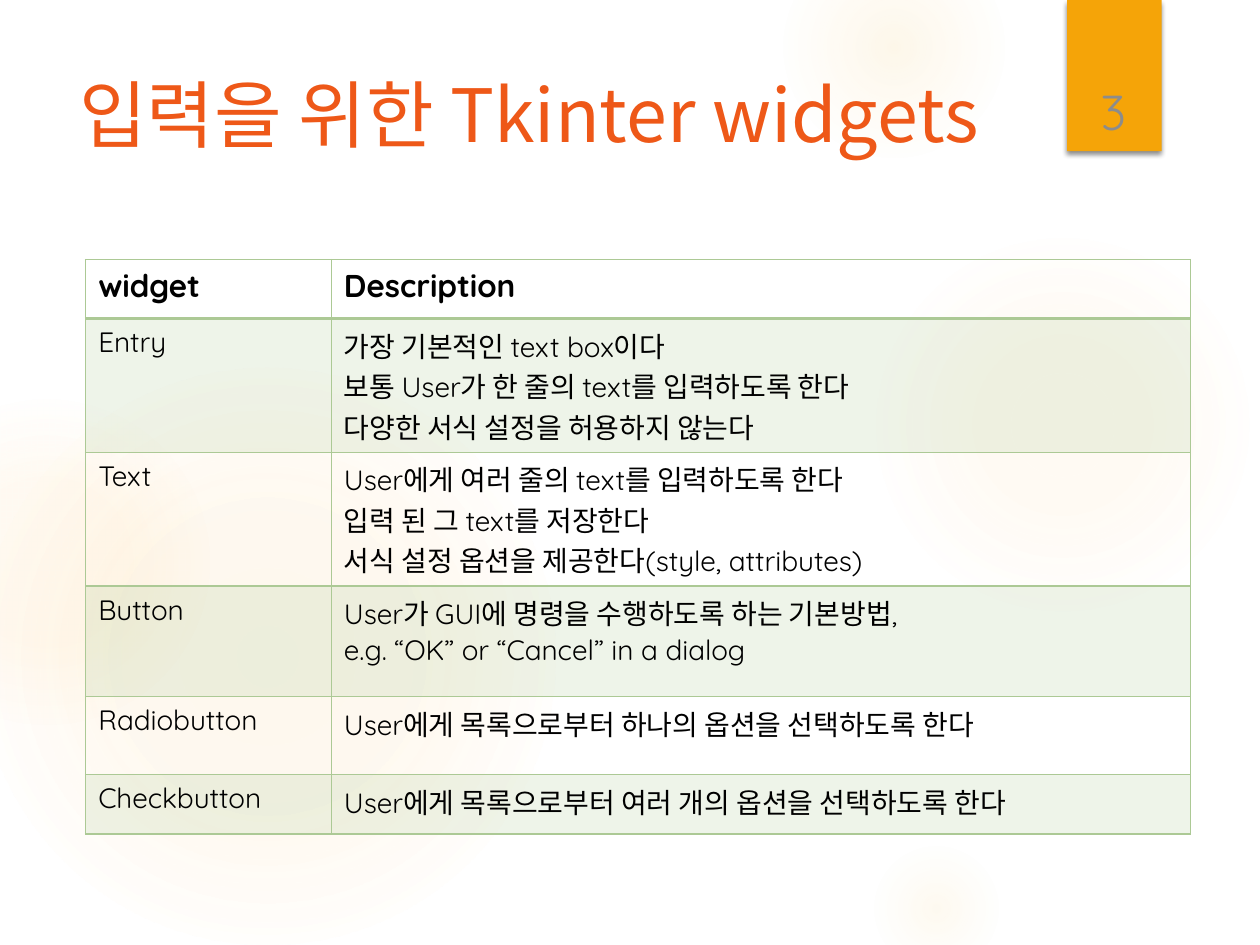
from lxml.etree import SubElement
from pptx import Presentation
from pptx.dml.color import RGBColor
from pptx.enum.shapes import MSO_SHAPE
from pptx.enum.text import MSO_ANCHOR, PP_ALIGN
from pptx.oxml.ns import qn
from pptx.util import Inches, Pt

KOREAN = "Noto Sans CJK KR"
LATIN = "Quicksand"
GOLD = "FAC96A"
GREEN = "ACC995"

GLOWS = [
    ((6.89, 1.83, 3.08), ((0, 7), (36, 6), (69, 0))),
    ((6.22, -0.5, 1.75), ((0, 14), (36, 7), (73, 0))),
    ((6.89, 6.67, 1.08), ((0, 10), (31, 5), (66, 0))),
    ((-0.17, 2.92, 4.58), ((0, 11), (36, 10), (75, 0))),
    ((-0.92, 3.17, 2.58), ((0, 8), (36, 8), (72, 0))),
]

ROWS = [
    (0.47, "widget", ["Description"]),
    (1.06, "Entry", [
        "가장 기본적인 text box이다",
        "보통 User가 한 줄의 text를 입력하도록 한다",
        "다양한 서식 설정을 허용하지 않는다",
    ]),
    (1.06, "Text", [
        "User에게 여러 줄의 text를 입력하도록 한다",
        "입력 된 그 text를 저장한다",
        "서식 설정 옵션을 제공한다(style, attributes)",
    ]),
    (0.88, "Button", [
        "User가 GUI에 명령을 수행하도록 하는 기본방법,",
        "e.g. “OK” or “Cancel” in a dialog",
    ]),
    (0.62, "Radiobutton", ["User에게 목록으로부터 하나의 옵션을 선택하도록 한다"]),
    (0.47, "Checkbutton", ["User에게 목록으로부터 여러 개의 옵션을 선택하도록 한다"]),
]


def color(code):
    return RGBColor.from_string(code)


def add(node, tag, **attrs):
    return SubElement(node, qn(tag), {key: str(val) for key, val in attrs.items()})


def tint(node, code, alpha):
    add(add(node, "a:srgbClr", val=code), "a:alpha", val=alpha * 1000)


def write(para, text, size, code, face=LATIN, bold=False):
    run = para.add_run()
    run.text = text
    font = run.font
    font.size, font.bold, font.name = Pt(size), bold, face
    font.color.rgb = color(code)


def add_box(slide, box, anchor):
    frame = slide.shapes.add_textbox(*map(Inches, box)).text_frame
    frame.word_wrap = True
    frame.vertical_anchor = anchor
    return frame.paragraphs[0]


def add_shape(slide, kind, box):
    shape = slide.shapes.add_shape(kind, *map(Inches, box))
    shape.shadow.inherit = False
    shape.line.fill.background()
    return shape


def add_glow(slide, box, stops):
    left, top, size = box
    shape = add_shape(slide, MSO_SHAPE.OVAL, (left, top, size, size))
    shape.fill.gradient()
    grad = shape._element.spPr.find(qn("a:gradFill"))
    for child in list(grad):
        grad.remove(child)
    items = add(grad, "a:gsLst")
    for place, alpha in stops:
        tint(add(items, "a:gs", pos=place * 1000), GOLD, alpha)
    focus = add(grad, "a:path", path="circle")
    add(focus, "a:fillToRect", l=50000, t=50000, r=50000, b=50000)


def add_title(slide, box):
    para = add_box(slide, box, MSO_ANCHOR.TOP)
    write(para, "입력을 위한 Tkinter widgets", 42, "EE5818", KOREAN)


def add_badge(slide, box):
    left, top, width, height = box
    flag = add_shape(slide, MSO_SHAPE.RECTANGLE, box)
    flag.fill.solid()
    flag.fill.fore_color.rgb = color("F5A408")
    effect = flag._element.spPr.find(qn("a:effectLst"))
    shade = add(effect, "a:outerShdw", blurRad=Pt(3), dist=Pt(2),
                dir=5400000, algn="t", rotWithShape=0)
    tint(shade, "000000", 45)
    para = add_box(slide, (left + 0.02, top + 0.32, width - 0.06, 0.84),
                   MSO_ANCHOR.BOTTOM)
    para.alignment = PP_ALIGN.CENTER
    write(para, "3", 28, "8C8C8C")


def style_cell(cell, row):
    props = cell._tc.get_or_add_tcPr()
    heavy = {0: "a:lnB", 1: "a:lnT"}.get(row)
    for side in ("a:lnL", "a:lnR", "a:lnT", "a:lnB"):
        line = add(props, side, w=Pt(2.25 if side == heavy else 1))
        tint(add(line, "a:solidFill"), GREEN, 100)
    if row % 2:
        cell.fill.solid()
        cell.fill.fore_color.rgb = color(GREEN)
        shade = props.find(qn("a:solidFill")).find(qn("a:srgbClr"))
        add(shade, "a:alpha", val=20000)
    else:
        cell.fill.background()


def add_grid(slide, box):
    grid = slide.shapes.add_table(len(ROWS), 2, *map(Inches, box)).table
    grid.first_row = grid.horz_banding = False
    first = 1.95
    for col, width in zip(grid.columns, (first, box[2] - first)):
        col.width = Inches(width)
    for row, (height, name, lines) in enumerate(ROWS):
        grid.rows[row].height = Inches(height)
        for col, texts in enumerate(([name], lines)):
            cell = grid.cell(row, col)
            style_cell(cell, row)
            frame = cell.text_frame
            for index, text in enumerate(texts):
                para = frame.add_paragraph() if index else frame.paragraphs[0]
                write(para, text, 16 if row else 18, "000000", bold=row == 0)


def main():
    deck = Presentation()
    deck.slide_width, deck.slide_height = Inches(10), Inches(7.5)
    slide = deck.slides.add_slide(deck.slide_layouts[6])
    for box, stops in GLOWS:
        add_glow(slide, box, stops)
    add_title(slide, (0.53, 0.5, 7.72, 1.53))
    add_grid(slide, (0.68, 2.06, 8.77, 4.56))
    add_badge(slide, (8.47, 0, 0.75, 1.2))
    deck.save("out.pptx")


if __name__ == "__main__":
    main()
